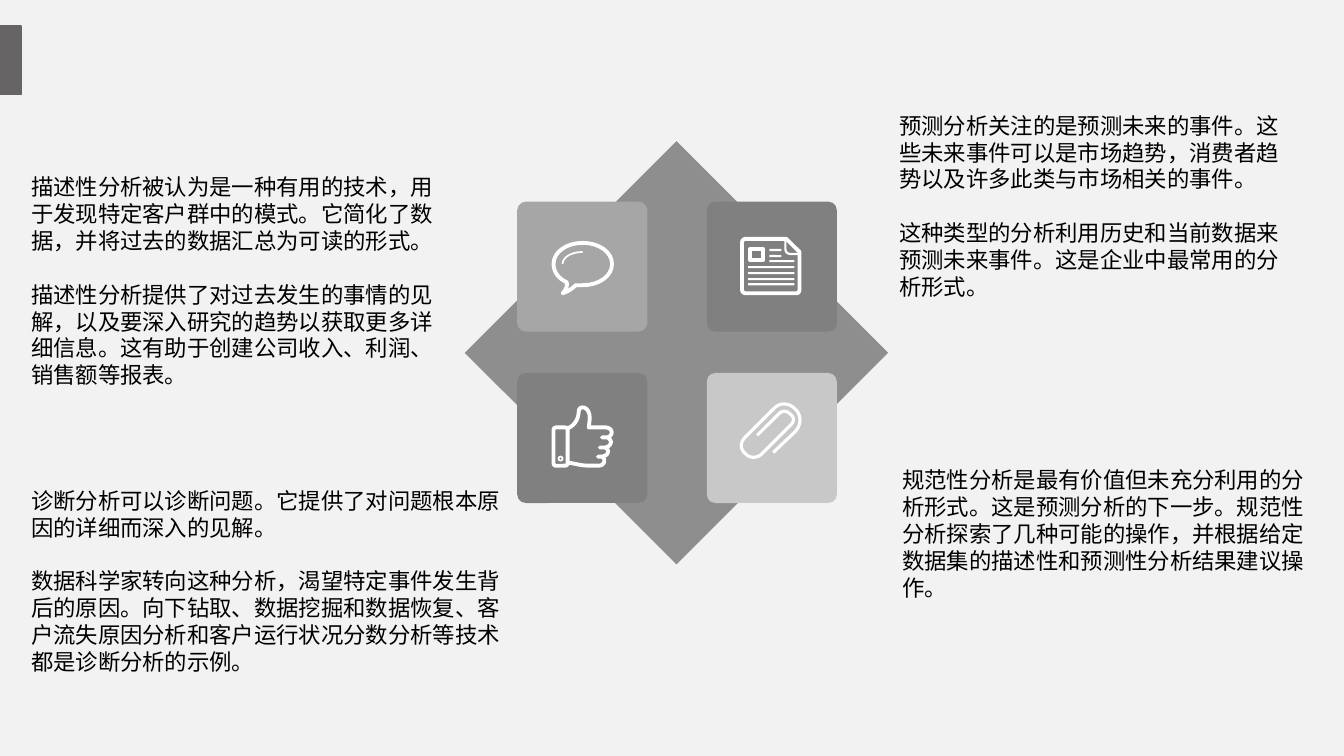
from lxml.etree import SubElement
from pptx import Presentation
from pptx.dml.color import RGBColor
from pptx.enum.shapes import MSO_SHAPE
from pptx.enum.text import MSO_AUTO_SIZE
from pptx.oxml.ns import qn
from pptx.util import Inches, Pt

COLORS = {
    "background": "F2F2F2",
    "accent": "666464",
    "mid": "A6A6A6",
    "dark": "808080",
    "light": "C8C8C8",
    "icon": "FFFFFF",
    "text": "000000",
}

TILES = [
    (5.13, 2, "mid"),
    (7.01, 2, "dark"),
    (5.13, 3.7, "dark"),
    (7.01, 3.7, "light"),
]

BUBBLE = [
    (5.78, 2.41),
    (5.62, 2.41, 5.49, 2.5, 5.49, 2.62),
    (5.49, 2.69, 5.53, 2.76, 5.62, 2.8),
    (5.63, 2.84, 5.61, 2.88, 5.58, 2.91),
    (5.64, 2.89, 5.68, 2.86, 5.71, 2.83),
    (5.78, 2.83),
    (5.94, 2.83, 6.07, 2.74, 6.07, 2.62),
    (6.07, 2.5, 5.94, 2.41, 5.78, 2.41),
]
BUBBLE_SHINE = [(5.58, 2.62), (5.58, 2.55, 5.67, 2.5, 5.78, 2.5)]

PAGE = [
    (7.8, 2.37), (7.4, 2.37),
    (7.37, 2.37, 7.36, 2.39, 7.36, 2.41),
    (7.36, 2.87),
    (7.36, 2.9, 7.38, 2.91, 7.4, 2.91),
    (7.9, 2.91),
    (7.92, 2.91, 7.93, 2.89, 7.93, 2.87),
    (7.93, 2.5), (7.8, 2.37),
]
PAGE_FOLD = [
    (7.79, 2.38), (7.79, 2.47),
    (7.79, 2.5, 7.81, 2.52, 7.84, 2.52),
    (7.92, 2.52),
]
PAGE_LINES = [
    (7.63, 2.47, 0.12), (7.63, 2.53, 0.12), (7.63, 2.58, 0.25),
    (7.42, 2.64, 0.46), (7.42, 2.7, 0.46), (7.42, 2.76, 0.46), (7.42, 2.81, 0.46),
]

HAND = [
    (5.63, 4.25),
    (5.71, 4.22, 5.74, 4.14, 5.74, 4.08),
    (5.74, 4.02, 5.85, 4.02, 5.85, 4.15),
    (5.84, 4.24), (6.01, 4.24),
    (6.09, 4.25, 6.08, 4.33, 6.02, 4.34),
    (5.97, 4.34), (6.02, 4.34),
    (6.08, 4.36, 6.07, 4.43, 6, 4.44),
    (5.95, 4.44), (6, 4.44),
    (6.05, 4.46, 6.04, 4.52, 5.97, 4.53),
    (5.93, 4.53), (5.97, 4.53),
    (6.01, 4.55, 6, 4.62, 5.94, 4.62),
    (5.84, 4.62),
    (5.75, 4.62, 5.72, 4.6, 5.63, 4.59),
]

CLIP = [
    (7.67, 4.49), (7.89, 4.28),
    (7.95, 4.21, 7.95, 4.12, 7.89, 4.06),
    (7.82, 3.99, 7.73, 3.99, 7.67, 4.06),
    (7.39, 4.34),
    (7.34, 4.39, 7.34, 4.45, 7.39, 4.5),
    (7.44, 4.55, 7.51, 4.55, 7.56, 4.5),
    (7.84, 4.22),
    (7.88, 4.18, 7.88, 4.14, 7.84, 4.11),
    (7.8, 4.07, 7.76, 4.07, 7.72, 4.11),
    (7.51, 4.32),
]

TEXTS = [
    (0.21, 1.67, 4.37, 2.25, [
        "描述性分析被认为是一种有用的技术，用于发现特定客户群中的模式。它简化了数据，并将过去的数据汇总为可读的形式。",
        "描述性分析提供了对过去发生的事情的见解，以及要深入研究的趋势以获取更多详细信息。这有助于创建公司收入、利润、销售额等报表。",
    ]),
    (8.82, 1.06, 4.15, 1.98, [
        "预测分析关注的是预测未来的事件。这些未来事件可以是市场趋势，消费者趋势以及许多此类与市场相关的事件。",
        "这种类型的分析利用历史和当前数据来预测未来事件。这是企业中最常用的分析形式。",
    ]),
    (0.21, 4.78, 4.9, 1.98, [
        "诊断分析可以诊断问题。它提供了对问题根本原因的详细而深入的见解。",
        "数据科学家转向这种分析，渴望特定事件发生背后的原因。向下钻取、数据挖掘和数据恢复、客户流失原因分析和客户运行状况分数分析等技术都是诊断分析的示例。",
    ]),
    (8.85, 4.58, 4.2, 1.98, [
        "规范性分析是最有价值但未充分利用的分析形式。这是预测分析的下一步。规范性分析探索了几种可能的操作，并根据给定数据集的描述性和预测性分析结果建议操作。",
    ]),
]


def rgb(name):
    return RGBColor.from_string(COLORS[name])


def add_solid(shapes, kind, x, y, w, h, color):
    sp = shapes.add_shape(kind, Inches(x), Inches(y), Inches(w), Inches(h))
    sp.shadow.inherit = False
    sp.fill.solid()
    sp.fill.fore_color.rgb = rgb(color)
    sp.line.fill.background()
    return sp


def make_outline(sp, width):
    sp.shadow.inherit = False
    sp.fill.background()
    sp.line.color.rgb = rgb("icon")
    sp.line.width = Pt(width)


def curve_points(start, curve, steps=8):
    controls = [start, curve[:2], curve[2:4], curve[4:]]
    for i in range(1, steps + 1):
        t = i / steps
        weights = [(1 - t) ** 3, 3 * t * (1 - t) ** 2, 3 * t * t * (1 - t), t ** 3]
        yield tuple(sum(w * c[axis] for w, c in zip(weights, controls)) for axis in (0, 1))


def add_stroke(shapes, segments, width):
    points = [segments[0]]
    for segment in segments[1:]:
        points.extend([segment] if len(segment) == 2 else curve_points(points[-1], segment))
    corners = [(Inches(x), Inches(y)) for x, y in points]
    builder = shapes.build_freeform(*corners[0])
    builder.add_line_segments(corners[1:], close=points[0] == points[-1])
    make_outline(builder.convert_to_shape(), width)


def add_outline(shapes, kind, x, y, w, h, width):
    make_outline(add_solid(shapes, kind, x, y, w, h, "icon"), width)


def add_icons(shapes):
    add_stroke(shapes, CLIP, 2.25)
    add_stroke(shapes, PAGE, 2.75)
    add_stroke(shapes, PAGE_FOLD, 1.5)
    add_outline(shapes, MSO_SHAPE.RECTANGLE, 7.44, 2.47, 0.13, 0.11, 2.75)
    for x, y, w in PAGE_LINES:
        add_solid(shapes, MSO_SHAPE.ROUNDED_RECTANGLE, x, y, w, 0.02, "icon")
    add_stroke(shapes, HAND, 2.75)
    add_outline(shapes, MSO_SHAPE.ROUNDED_RECTANGLE, 5.49, 4.24, 0.14, 0.38, 2.75)
    add_outline(shapes, MSO_SHAPE.OVAL, 5.54, 4.53, 0.04, 0.04, 1.25)
    add_stroke(shapes, BUBBLE, 2.75)
    add_stroke(shapes, BUBBLE_SHINE, 1.25)


def add_diagram(slide):
    shapes = slide.shapes.add_group_shape().shapes
    diamond = add_solid(shapes, MSO_SHAPE.DIAMOND, 4.61, 1.4, 4.2, 4.2, "accent")
    color = diamond._element.spPr.find(qn("a:solidFill"))[0]
    SubElement(color, qn("a:alpha"), val="70000")
    for x, y, fill in TILES:
        tile = add_solid(shapes, MSO_SHAPE.ROUNDED_RECTANGLE, x, y, 1.29, 1.29, fill)
        tile.adjustments[0] = 0.066
    add_icons(shapes)


def add_text(slide, x, y, w, h, paragraphs):
    tf = slide.shapes.add_textbox(Inches(x), Inches(y), Inches(w), Inches(h)).text_frame
    tf.word_wrap = True
    tf.auto_size = MSO_AUTO_SIZE.SHAPE_TO_FIT_TEXT
    tf.text = "\n".join(paragraphs)
    for i, p in enumerate(tf.paragraphs):
        if i:
            p.space_before = Pt(19.2)
        for r in p.runs:
            r.font.name = "Arial"
            r.font.size = Pt(16)
            r.font.color.rgb = rgb("text")


def main():
    prs = Presentation()
    prs.slide_width, prs.slide_height = Inches(13.33), Inches(7.5)
    slide = prs.slides.add_slide(prs.slide_layouts[6])
    slide.background.fill.solid()
    slide.background.fill.fore_color.rgb = rgb("background")
    marker = add_solid(slide.shapes, MSO_SHAPE.RECTANGLE, 0, 0.26, 0.21, 0.68, "accent")
    marker.line.color.rgb = rgb("accent")
    marker.line.width = Pt(1)
    add_diagram(slide)
    for text in TEXTS:
        add_text(slide, *text)
    prs.save("out.pptx")


if __name__ == "__main__":
    main()
